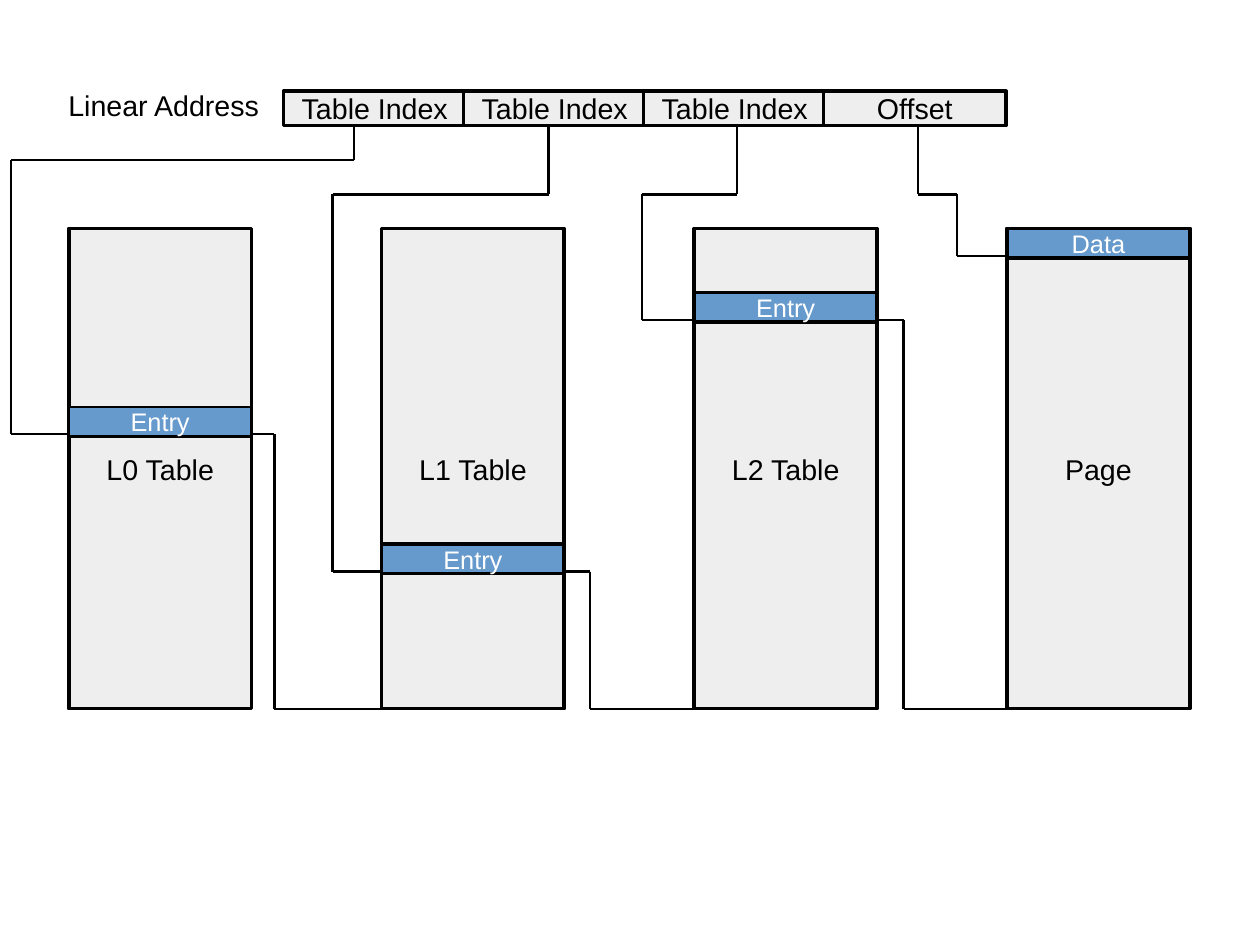
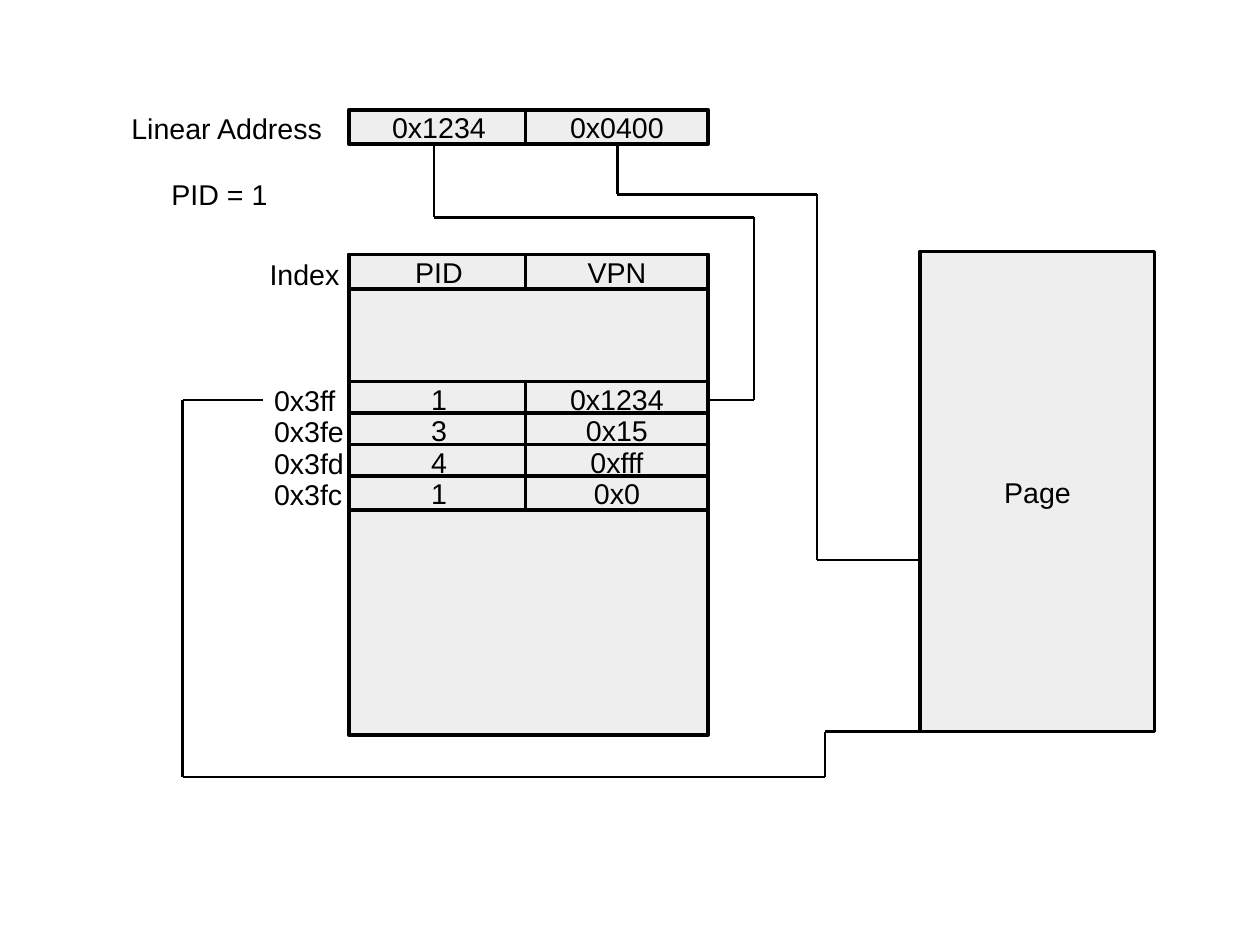
from itertools import pairwise

from lxml import etree
from pptx import Presentation
from pptx.dml.color import RGBColor
from pptx.enum import shapes, text
from pptx.oxml import ns
from pptx.util import Cm, Pt

BLACK = RGBColor(0x00, 0x00, 0x00)
WHITE = RGBColor(0xFF, 0xFF, 0xFF)
GREY = RGBColor(0xEE, 0xEE, 0xEE)
BLUE = RGBColor(0x66, 0x99, 0xCC)

COLUMN_HEIGHT = 10.67
CELL_WIDTH = 4.06
CELL_HEIGHT = 0.76


class Diagram:
    """Draws boxes, labels and wires on the current slide; lengths are in centimetres."""

    font = "Arial"
    size = 18
    outline = 2.3
    wire_width = 1.5

    def __init__(self):
        self.presentation = Presentation()
        self.presentation.slide_width = Cm(28)
        self.presentation.slide_height = Cm(21)
        self.slide = None

    def new_slide(self):
        self.slide = self.presentation.slides.add_slide(self.presentation.slide_layouts[6])

    def set_words(self, shape, words, size, colour):
        frame = shape.text_frame
        frame.text = words
        frame.word_wrap = False
        for run in frame.paragraphs[0].runs:
            run.font.name = self.font
            run.font.size = Pt(size)
            run.font.color.rgb = colour

    def box(self, left, top, width, height, words="", fill=GREY, colour=BLACK,
            size=size, outline=outline):
        shape = self.slide.shapes.add_shape(
            shapes.MSO_SHAPE.RECTANGLE, Cm(left), Cm(top), Cm(width), Cm(height))
        shape.shadow.inherit = False
        shape.fill.solid()
        shape.fill.fore_color.rgb = fill
        shape.line.color.rgb = BLACK
        shape.line.width = Pt(outline)
        if words:
            self.set_words(shape, words, size, colour)
            frame = shape.text_frame
            frame.vertical_anchor = text.MSO_ANCHOR.MIDDLE
            frame.margin_left = frame.margin_right = Cm(0.28)
            frame.margin_top = frame.margin_bottom = Cm(0.15)
            frame.paragraphs[0].alignment = text.PP_ALIGN.CENTER

    def entry(self, left, top, words, outline=outline):
        self.box(left, top, CELL_WIDTH, 0.66, words, BLUE, WHITE, 16, outline)

    def label(self, left, top, width, words):
        shape = self.slide.shapes.add_textbox(Cm(left), Cm(top), Cm(width), Cm(0.97))
        self.set_words(shape, words, self.size, BLACK)
        shape.text_frame.auto_size = text.MSO_AUTO_SIZE.SHAPE_TO_FIT_TEXT

    def wire(self, *points):
        """Join the points, in order, with straight connectors."""
        for start, end in pairwise(points):
            connector = self.slide.shapes.add_connector(
                shapes.MSO_CONNECTOR.STRAIGHT, *(Cm(value) for value in start + end))
            connector.line.color.rgb = BLACK
            connector.line.width = Pt(self.wire_width)
            properties = connector._element.spPr
            etree.SubElement(properties, ns.qn("a:effectLst"))


def draw_page_walk(diagram):
    diagram.new_slide()
    address_top, column_top = 2.03, 5.08
    address_bottom = address_top + CELL_HEIGHT
    column_bottom = column_top + COLUMN_HEIGHT
    lefts = [1.53 + 6.95 * number for number in range(4)]

    diagram.label(1.27, 1.83, 4.75, "Linear Address")
    for number, words in enumerate(["Table Index"] * 3 + ["Offset"]):
        diagram.box(6.3 + 4 * number, address_top, CELL_WIDTH, CELL_HEIGHT, words)
    for left, words in zip(lefts, ["L0 Table", "L1 Table", "L2 Table", "Page"]):
        diagram.box(left, column_top, CELL_WIDTH, COLUMN_HEIGHT, words)

    # Address field x, bend y, descent x, entry y, end x
    index_wires = [
        (7.87, 3.56, 0.25, 9.65, lefts[0]),
        (12.19, 4.32, 7.39, 12.7, lefts[1]),
        (16.38, 4.32, 14.27, 7.11, 15.37),
        (20.4, 4.32, 21.26, 5.69, lefts[3]),
    ]
    for field_x, bend_y, descent_x, entry_y, end_x in index_wires:
        diagram.wire((field_x, address_bottom), (field_x, bend_y), (descent_x, bend_y),
                     (descent_x, entry_y), (end_x, entry_y))

    entry_ys = [wire[3] for wire in index_wires]
    for (left, next_left), entry_y, turn_x in zip(pairwise(lefts), entry_ys, [6.1, 13.11, 20.08]):
        diagram.wire((left + CELL_WIDTH, entry_y), (turn_x, entry_y),
                     (turn_x, column_bottom), (next_left, column_bottom))

    outlines = [diagram.wire_width] + [diagram.outline] * 3
    for left, entry_y, words, outline in zip(lefts, entry_ys, ["Entry"] * 3 + ["Data"], outlines):
        diagram.entry(left, entry_y - 0.61, words, outline)


def draw_inverted_table(diagram):
    diagram.new_slide()
    left, middle, right = 7.75, 11.68, 15.74
    address_top, table_top, rows_top = 2.44, 5.66, 8.48
    page_left, page_top = 20.45, 5.59
    address_bottom = address_top + CELL_HEIGHT
    page_bottom = page_top + COLUMN_HEIGHT
    match_y = 8.89

    def row(top, first, second):
        diagram.box(left, top, 4.01, CELL_HEIGHT, first)
        diagram.box(middle, top, CELL_WIDTH, CELL_HEIGHT, second)

    diagram.box(left, table_top, right - left, COLUMN_HEIGHT)
    row(table_top, "PID", "VPN")
    row(address_top, "0x1234", "0x0400")
    diagram.label(2.67, 2.34, 4.75, "Linear Address")
    diagram.label(3.56, 3.81, 2.64, "PID = 1")
    diagram.label(5.74, 5.59, 2.06, "Index")

    entries = [
        ("0x3ff", 1.88, "1", "0x1234"),
        ("0x3fe", 2.06, "3", "0x15"),
        ("0x3fd", 2.06, "4", "0xfff"),
        ("0x3fc", 2.03, "1", "0x0"),
    ]
    for number, (index, label_width, pid, vpn) in enumerate(entries):
        top = rows_top + 0.7 * number
        row(top, pid, vpn)
        diagram.label(5.84, top - 0.1, label_width, index)

    diagram.box(page_left, page_top, 5.21, COLUMN_HEIGHT, "Page")
    diagram.wire((5.84, match_y), (4.06, match_y), (4.06, 17.27), (18.34, 17.27),
                 (18.34, page_bottom), (page_left, page_bottom))
    diagram.wire((9.65, address_bottom), (9.65, 4.83), (16.76, 4.83),
                 (16.76, match_y), (right, match_y))
    diagram.wire((13.72, address_bottom), (13.72, 4.32), (18.16, 4.32),
                 (18.16, 12.45), (page_left, 12.45))


def main():
    diagram = Diagram()
    draw_page_walk(diagram)
    draw_inverted_table(diagram)
    diagram.presentation.save("out.pptx")


if __name__ == "__main__":
    main()
